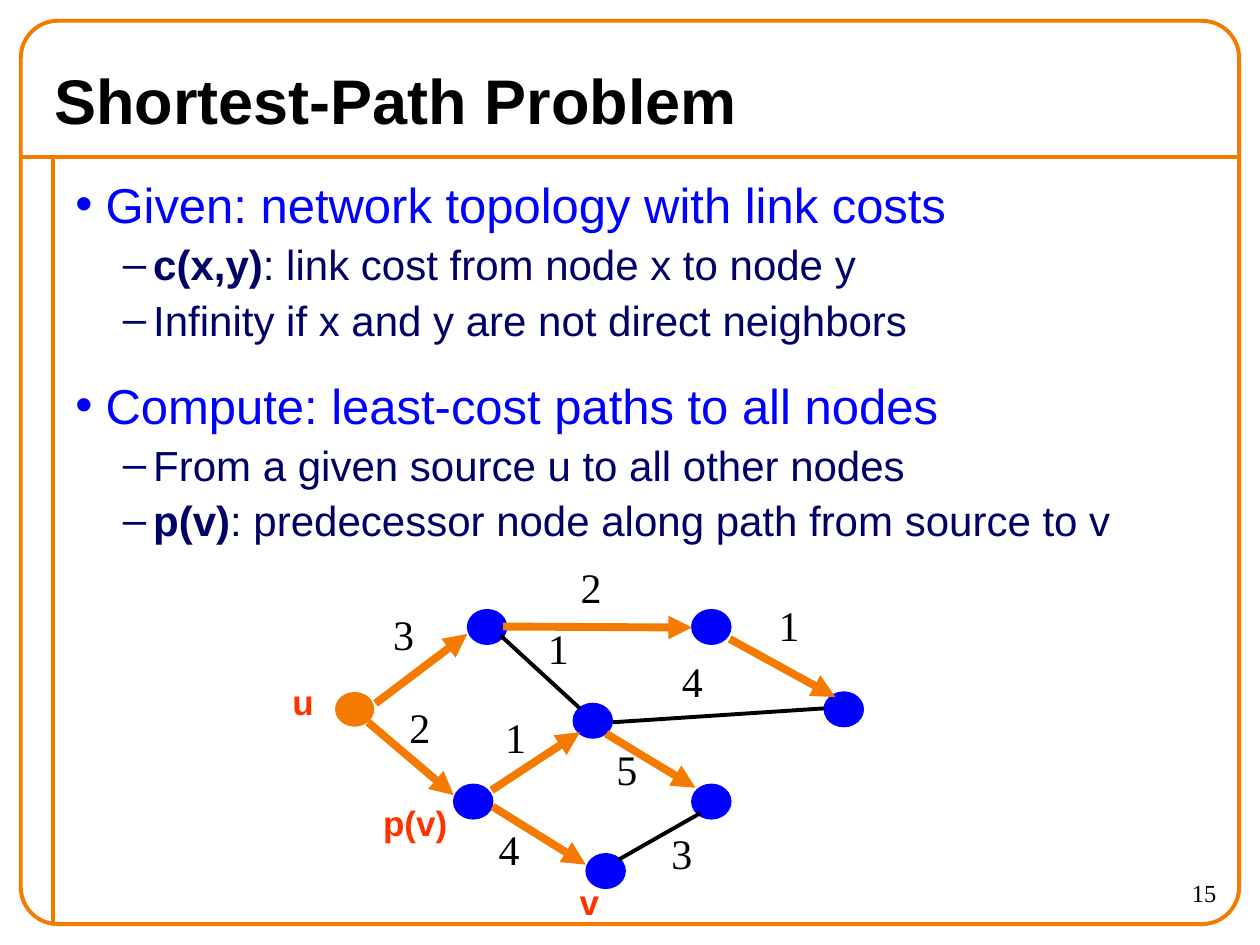
from collections import namedtuple
from dataclasses import dataclass

from lxml.etree import SubElement
from pptx import Presentation
from pptx.dml.color import RGBColor
from pptx.enum.shapes import MSO_CONNECTOR, MSO_SHAPE
from pptx.enum.text import MSO_ANCHOR, MSO_AUTO_SIZE, PP_ALIGN
from pptx.oxml.ns import qn
from pptx.util import Cm, Pt


@dataclass(frozen=True)
class Theme:
    orange: RGBColor = RGBColor(0xF4, 0x7A, 0x00)
    blue: RGBColor = RGBColor(0x00, 0x00, 0xFF)
    navy: RGBColor = RGBColor(0x00, 0x00, 0x66)
    red: RGBColor = RGBColor(0xFF, 0x33, 0x00)
    black: RGBColor = RGBColor(0x00, 0x00, 0x00)
    sans: str = "Arial"
    serif: str = "Times New Roman"
    title_size: Pt = Pt(36)
    topic_size: Pt = Pt(28)
    detail_size: Pt = Pt(24)
    name_size: Pt = Pt(20)
    number_size: Pt = Pt(14)
    thin: Pt = Pt(2.25)
    thick: Pt = Pt(4.5)


THEME = Theme()
Box = namedtuple("Box", "left top width height")
Level = namedtuple("Level", "bullet indent before font")

TITLE_FONT = {"name": THEME.sans, "size": THEME.title_size, "color": THEME.black, "bold": True}
COST_FONT = {"name": THEME.serif, "size": THEME.detail_size, "color": THEME.black}
NAME_FONT = {"name": THEME.sans, "size": THEME.name_size, "color": THEME.red, "bold": True}
NUMBER_FONT = {"name": THEME.serif, "size": THEME.number_size, "color": THEME.black}

HANG = Cm(0.61)
LEVELS = [
    Level("•", HANG, Pt(17.5),
          {"name": THEME.sans, "size": THEME.topic_size, "color": THEME.blue}),
    Level("–", Cm(1.57), Pt(3),
          {"name": THEME.sans, "size": THEME.detail_size, "color": THEME.navy}),
]
# Each line: level, bold lead, rest
OUTLINE = [
    (0, "", "Given: network topology with link costs"),
    (1, "c(x,y)", ": link cost from node x to node y"),
    (1, "", "Infinity if x and y are not direct neighbors"),
    (0, "", "Compute: least-cost paths to all nodes"),
    (1, "", "From a given source u to all other nodes"),
    (1, "p(v)", ": predecessor node along path from source to v"),
]

# Graph positions are centimetres from the corner of the graph's box
NODE_SIZE = (0.79, 0.7)
SOURCE_NODE = (1.51, 3.12)
OTHER_NODES = [(3.9, 4.98), (4.18, 1.46), (6.31, 3.35), (8.7, 4.98),
               (8.7, 1.46), (6.57, 6.38), (11.37, 3.12)]
# Each link: start, end, cost, centre of cost
TREE_LINKS = [
    ((1.93, 3.0), (3.78, 1.6), "3", (2.49, 1.6)),
    ((1.78, 3.38), (3.51, 4.85), "2", (2.82, 3.48)),
    ((4.29, 5.08), (6.17, 6.25), "4", (4.62, 5.94)),
    ((4.27, 4.75), (6.05, 3.58), "1", (4.75, 3.68)),
    ((6.58, 3.61), (8.38, 4.7), "5", (6.99, 4.32)),
    ((4.5, 1.45), (8.31, 1.47), "2", (6.27, 0.64)),
    ((9.07, 1.7), (11.2, 2.87), "1", (10.26, 1.42)),
]
OTHER_LINKS = [
    ((4.45, 1.63), (6.05, 3.1), "1", (5.61, 1.88)),
    ((6.83, 6.15), (8.48, 5.21), "3", (8.1, 6.02)),
    ((6.71, 3.38), (10.97, 3.1), "4", (8.31, 2.54)),
]
# Each name: text, centre, width
NODE_NAMES = [("u", (0.47, 2.97), 0.94), ("v", (6.24, 7.01), 0.89),
              ("p(v)", (2.73, 5.41), 1.8)]


def centred(box, centre, size):
    """Box of the given size around a centre measured from the outer box."""
    (x, y), (width, height) = centre, size
    return Box(box.left + x - width / 2, box.top + y - height / 2, width, height)


def add_run(paragraph, text, font_format):
    run = paragraph.add_run()
    run.text = text
    for key, value in font_format.items():
        if key == "color":
            run.font.color.rgb = value
        else:
            setattr(run.font, key, value)


def add_frame(slide, box, **frame_format):
    frame = slide.shapes.add_textbox(*map(Cm, box)).text_frame
    for key, value in ({"word_wrap": True} | frame_format).items():
        setattr(frame, key, value)
    return frame


def add_label(slide, box, text, font_format, align=PP_ALIGN.LEFT, **frame_format):
    paragraph = add_frame(slide, box, **frame_format).paragraphs[0]
    paragraph.alignment = align
    add_run(paragraph, text, font_format)


def add_line(slide, start, end, color, width, arrow=False):
    connector = slide.shapes.add_connector(MSO_CONNECTOR.STRAIGHT, *map(Cm, (*start, *end)))
    connector.line.color.rgb = color
    connector.line.width = width
    if arrow:
        SubElement(connector.line._get_or_add_ln(), qn("a:tailEnd"), type="triangle")
    SubElement(connector._element.spPr, qn("a:effectLst"))


def add_node(slide, box, color, outlined):
    node = slide.shapes.add_shape(MSO_SHAPE.OVAL, *map(Cm, box))
    node.shadow.inherit = False
    node.fill.solid()
    node.fill.fore_color.rgb = color
    if outlined:
        node.line.color.rgb = color
        node.line.width = Pt(0.75)
    else:
        node.line.fill.background()


def add_border(slide, box):
    """Rounded border with a rule under the title and one left of the body."""
    right, bottom = box.left + box.width, box.top + box.height
    rule_y, rule_x = box.top + 2.75, box.left + 0.64
    add_line(slide, (box.left, rule_y), (right, rule_y), THEME.orange, THEME.thin)
    add_line(slide, (rule_x, rule_y), (rule_x, bottom), THEME.orange, THEME.thin)
    border = slide.shapes.add_shape(MSO_SHAPE.ROUNDED_RECTANGLE, *map(Cm, box))
    border.adjustments[0] = 0.041
    border.shadow.inherit = False
    border.fill.background()
    border.line.color.rgb = THEME.orange
    border.line.width = THEME.thin


def add_outline(slide, box):
    frame = add_frame(slide, box)
    for index, (depth, lead, rest) in enumerate(OUTLINE):
        level = LEVELS[depth]
        paragraph = frame.add_paragraph() if index else frame.paragraphs[0]
        paragraph.level = depth
        properties = paragraph._p.get_or_add_pPr()
        properties.set("marL", str(level.indent))
        properties.set("indent", str(-HANG))
        bullet_color = SubElement(properties, qn("a:buClr"))
        SubElement(bullet_color, qn("a:srgbClr"), val=str(level.font["color"]))
        SubElement(properties, qn("a:buFont"), typeface=THEME.sans)
        SubElement(properties, qn("a:buChar"), char=level.bullet)
        if index:
            paragraph.space_before = level.before
        if lead:
            add_run(paragraph, lead, level.font | {"bold": True})
        add_run(paragraph, rest, level.font)


def add_graph(slide, box):
    """Network with its shortest-path tree drawn as arrows."""
    hugging = {"word_wrap": False, "auto_size": MSO_AUTO_SIZE.SHAPE_TO_FIT_TEXT}
    add_node(slide, centred(box, SOURCE_NODE, NODE_SIZE), THEME.orange, outlined=False)
    for centre in OTHER_NODES:
        add_node(slide, centred(box, centre, NODE_SIZE), THEME.blue, outlined=True)
    for links, color, width, arrow in (
        (OTHER_LINKS, THEME.black, THEME.thin, False),
        (TREE_LINKS, THEME.orange, THEME.thick, True),
    ):
        for start, end, cost, centre in links:
            ends = [(box.left + x, box.top + y) for x, y in (start, end)]
            add_line(slide, *ends, color, width, arrow)
            add_label(slide, centred(box, centre, (0.91, 1.27)), cost, COST_FONT, **hugging)
    for name, centre, width in NODE_NAMES:
        add_label(slide, centred(box, centre, (width, 1.12)), name, NAME_FONT,
                  PP_ALIGN.CENTER, **hugging)


def main():
    presentation = Presentation()
    presentation.slide_width, presentation.slide_height = Cm(25.4), Cm(19.05)
    slide = presentation.slides.add_slide(presentation.slide_layouts[6])
    add_border(slide, Box(0.42, 0.42, 24.56, 18.21))
    add_label(slide, Box(0.85, 1.06, 22.4, 1.9), "Shortest-Path Problem", TITLE_FONT,
              vertical_anchor=MSO_ANCHOR.MIDDLE)
    add_outline(slide, Box(1.27, 3.39, 23.5, 15.24))
    add_graph(slide, Box(5.64, 11.18, 11.8, 7.6))
    add_label(slide, Box(22.23, 17.58, 2.54, 1.06), "15", NUMBER_FONT, PP_ALIGN.RIGHT)
    presentation.save("out.pptx")


if __name__ == "__main__":
    main()
